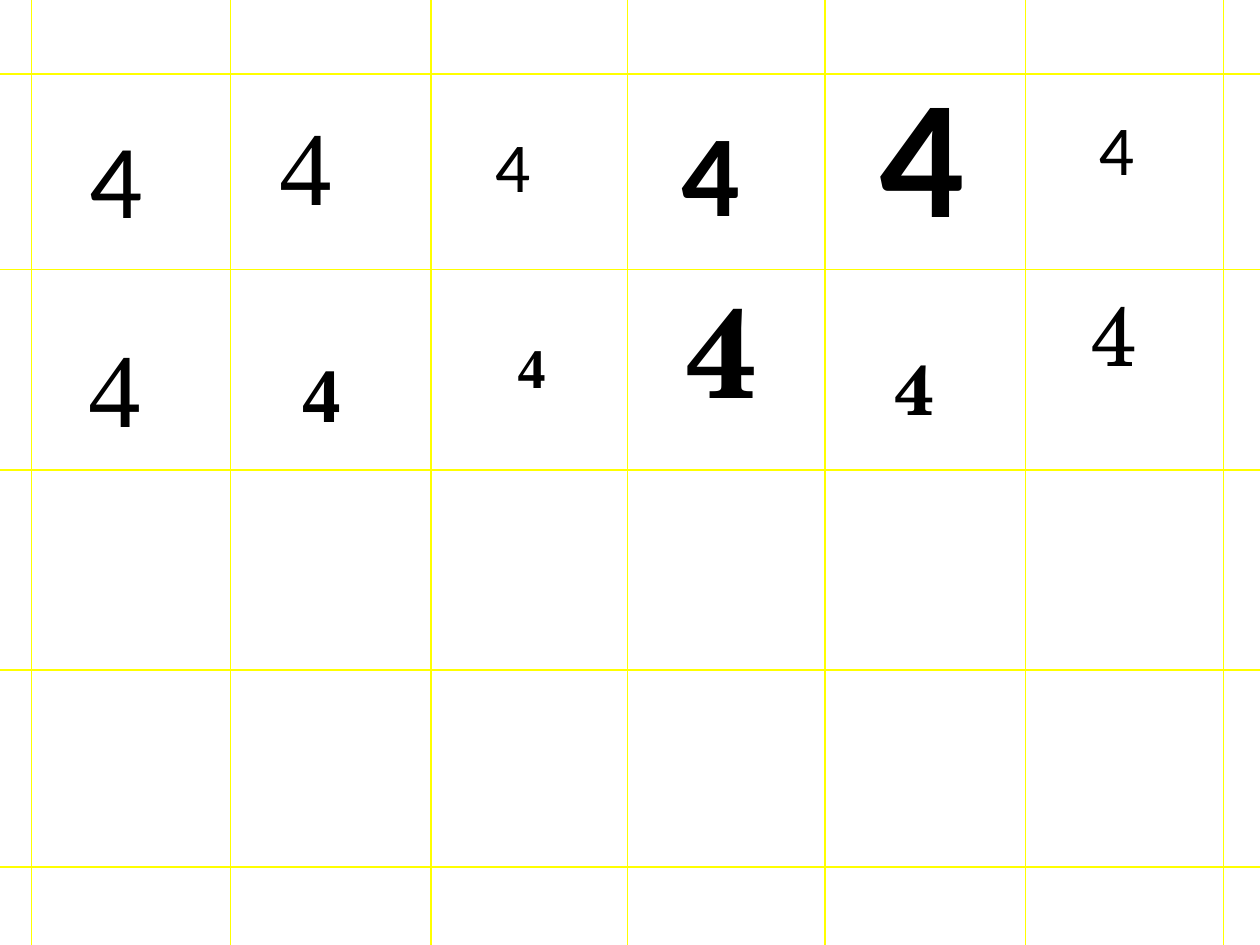
from dataclasses import dataclass

from lxml.etree import SubElement
from pptx import Presentation
from pptx.dml.color import RGBColor
from pptx.enum.shapes import MSO_CONNECTOR
from pptx.enum.text import MSO_AUTO_SIZE
from pptx.oxml.ns import qn
from pptx.util import Inches, Pt


@dataclass(frozen=True)
class Theme:
    """Colours, fonts and type sizes of the slide."""
    ink: RGBColor = RGBColor(0, 0, 0)
    grid: RGBColor = RGBColor(0xFF, 0xFF, 0)
    grid_width: float = 1
    sans: str = "Calibri"
    serif: str = "Times New Roman"
    school: str = "TeX Gyre Schola"
    tiny: int = 32
    small: int = 40
    medium: int = 44
    large: int = 48
    display: int = 60
    heavy: int = 66
    huge: int = 72
    giant: int = 96


THEME = Theme()
WIDTH, HEIGHT = 10, 7.5
COLUMNS = (0.25, 1.83, 3.42, 4.98, 6.55, 8.14, 9.71)
ROWS = (0.59, 2.14, 3.73, 5.32, 6.88)
DIGITS = (
    (0.61, 0.85, 1.11, THEME.display, THEME.sans, False),
    (2.12, 0.75, 1.11, THEME.display, THEME.serif, False),
    (3.83, 0.92, 0.77, THEME.small, THEME.sans, False),
    (0.6, 2.51, 1.11, THEME.display, THEME.serif, False),
    (2.3, 2.69, 0.84, THEME.medium, THEME.serif, True),
    (4.01, 2.59, 0.64, THEME.tiny, THEME.serif, True),
    (5.34, 2.11, 1.31, THEME.huge, THEME.school, True),
    (7, 2.69, 0.77, THEME.small, THEME.school, True),
    (8.56, 2.19, 0.91, THEME.large, THEME.school, False),
    (5.31, 0.75, 1.21, THEME.heavy, THEME.sans, True),
    (6.88, 0.34, 1.72, THEME.giant, THEME.sans, True),
    (8.62, 0.79, 0.77, THEME.small, THEME.sans, False),
)


def add_digit(s, left, top, height, size, font, bold):
    """Add one sample digit in the given typeface."""
    sp = s.shapes.add_textbox(Inches(left), Inches(top), Inches(0.79), Inches(height))
    tf = sp.text_frame
    tf.word_wrap = True
    tf.auto_size = MSO_AUTO_SIZE.SHAPE_TO_FIT_TEXT
    p = tf.paragraphs[0]
    p.text = "4"
    p.font.name = font
    p.font.size = Pt(size)
    p.font.bold = bold
    p.font.color.rgb = THEME.ink


def add_grid_line(s, x1, y1, x2, y2):
    """Add one straight grid line."""
    sp = s.shapes.add_connector(
        MSO_CONNECTOR.STRAIGHT, Inches(x1), Inches(y1), Inches(x2), Inches(y2))
    sp.line.color.rgb = THEME.grid
    sp.line.width = Pt(THEME.grid_width)
    SubElement(sp._element.spPr, qn("a:effectLst"))


def main():
    """Build the slide and save it."""
    prs = Presentation()
    prs.slide_width, prs.slide_height = Inches(WIDTH), Inches(HEIGHT)
    s = prs.slides.add_slide(prs.slide_layouts[6])
    for digit in DIGITS:
        add_digit(s, *digit)
    for x in COLUMNS:
        add_grid_line(s, x, 0, x, HEIGHT)
    for y in ROWS:
        add_grid_line(s, 0, y, WIDTH, y)
    prs.save("out.pptx")


if __name__ == "__main__":
    main()
